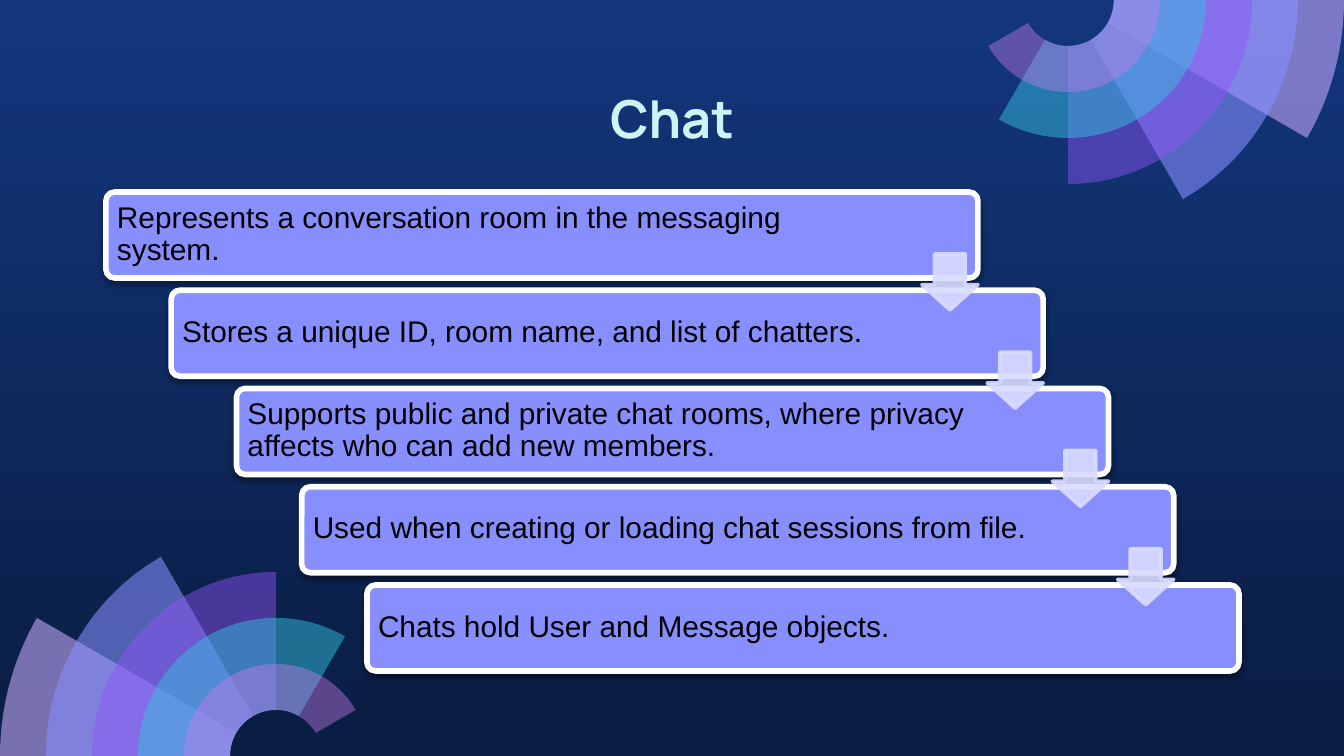
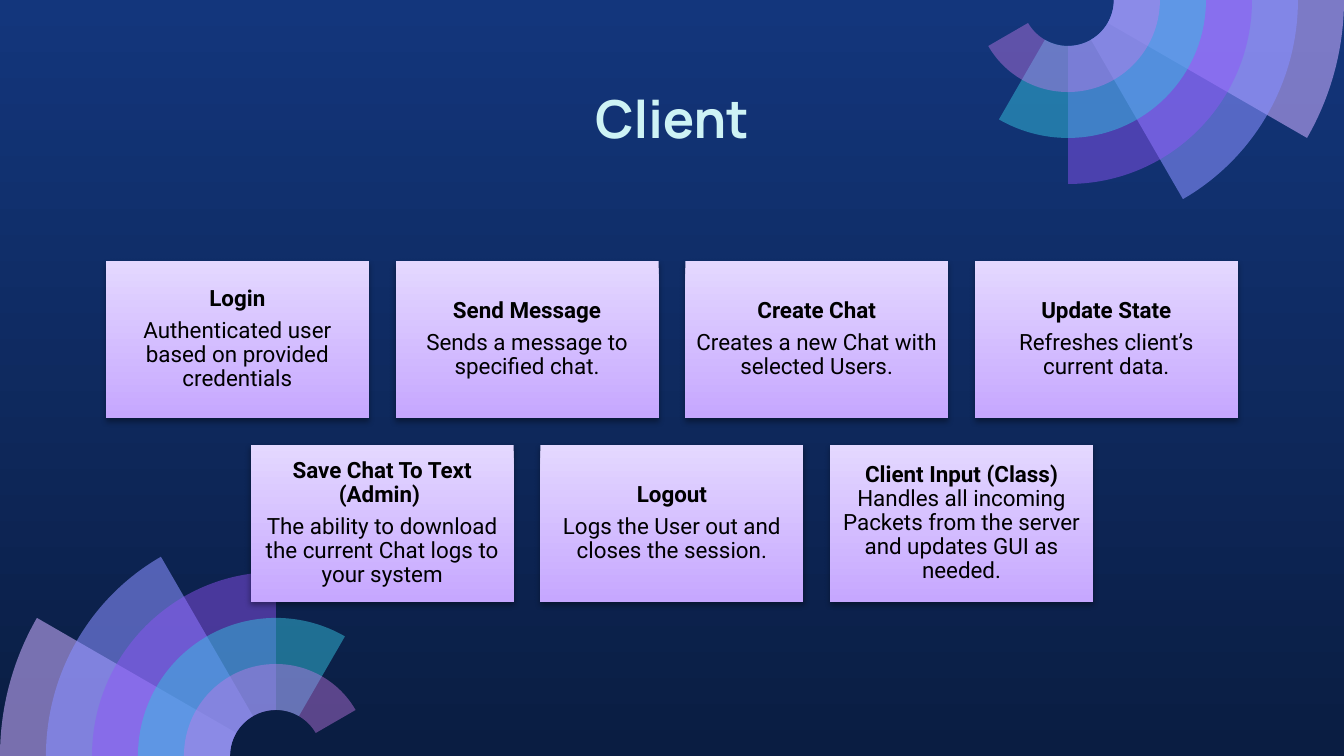
import dataclasses
import math

import lxml.etree
import pptx
import pptx.dml.color
import pptx.enum.shapes
import pptx.enum.text
import pptx.oxml.ns
import pptx.util

CHAT = [
    "Represents a conversation room in the messaging system.",
    "Stores a unique ID, room name, and list of chatters.",
    "Supports public and private chat rooms, where privacy affects who can add new members.",
    "Used when creating or loading chat sessions from file.",
    "Chats hold User and Message objects.",
]
CLIENT = [
    [
        [["Login"], ["Authenticated user based on provided credentials"]],
        [["Send Message"], ["Sends a message to specified chat."]],
        [["Create Chat"], ["Creates a new Chat with selected Users."]],
        [["Update State"], ["Refreshes client’s current data."]],
    ],
    [
        [["Save Chat To Text (Admin) "],
         ["The ability to download the current Chat logs to your system"]],
        [["Logout"], ["Logs the User out and closes the session."]],
        [["Client Input (Class) ",
          "Handles all incoming Packets from the server and updates GUI as needed."]],
    ],
]


@dataclasses.dataclass(frozen=True)
class Theme:
    sky: tuple = ("13367C", "0A1D42")
    card: tuple = ("E4D8FF", "C6A7FF")
    fan: tuple = (("C8ACFD", 58), ("878FFF", 58), ("9154F8", 46),
                  ("35C2DF", 49), ("CA7BEB", 42))
    title: str = "CEF3F5"
    ink: str = "000000"
    bar: str = "878FFF"
    edge: str = "FFFFFF"
    arrow: str = "D9DBFF"
    head: int = 28
    body: int = 16
    note: int = 12


T = Theme()
WIDE, HIGH = 1344, 756
SCALE = 9144000 / WIDE
KIND = pptx.enum.shapes.MSO_SHAPE
ALIGN = pptx.enum.text.PP_ALIGN
qn = pptx.oxml.ns.qn


def emu(px):
    return pptx.util.Emu(round(px * SCALE))


def rgb(code):
    return pptx.dml.color.RGBColor.from_string(code)


def shade(fill, pair):
    fill.gradient()
    fill.gradient_angle = 270
    for stop, code in zip(fill.gradient_stops, pair):
        stop.color.rgb = rgb(code)


def fade(shape, alpha):
    for node in shape._element.spPr.iter(qn("a:srgbClr")):
        lxml.etree.SubElement(node, qn("a:alpha"), val=str(alpha * 1000))


def paint(shape, fill, line=None, width=0):
    shape.shadow.inherit = False
    if isinstance(fill, tuple):
        shade(shape.fill, fill)
    else:
        shape.fill.solid()
        shape.fill.fore_color.rgb = rgb(fill)
    if line:
        shape.line.color.rgb = rgb(line)
        shape.line.width = pptx.util.Pt(width)
    else:
        shape.line.fill.background()


def drop(shape, alpha, dist):
    node = shape._element.spPr.find(qn("a:effectLst"))
    cast = lxml.etree.SubElement(
        node, qn("a:outerShdw"), blurRad=str(pptx.util.Pt(3.1)),
        dist=str(pptx.util.Pt(dist)), dir="5400000", algn="ctr", rotWithShape="0")
    tone = lxml.etree.SubElement(cast, qn("a:srgbClr"), val=T.ink)
    lxml.etree.SubElement(tone, qn("a:alpha"), val=str(alpha * 1000))


def block(group, kind, rect, adj=()):
    shape = group.shapes.add_shape(kind, *map(emu, rect))
    for i, val in enumerate(adj):
        shape.adjustments[i] = val
    return shape


def write(holder, rect, paras, font, size, color=T.ink, bold=False, lead=False,
          align=ALIGN.CENTER, pad=7, after=0):
    frame = holder.shapes.add_textbox(*map(emu, rect)).text_frame
    frame.word_wrap = True
    frame.vertical_anchor = pptx.enum.text.MSO_ANCHOR.MIDDLE
    frame.margin_left = frame.margin_right = emu(pad)
    frame.margin_top = frame.margin_bottom = emu(pad)
    first = True
    for i, runs in enumerate(paras):
        para = frame.paragraphs[0] if i == 0 else frame.add_paragraph()
        para.alignment = align
        para.line_spacing = 0.9
        para.space_after = pptx.util.Pt(after)
        for text in runs:
            run = para.add_run()
            run.text = text
            run.font.name = font
            run.font.size = pptx.util.Pt(size)
            run.font.color.rgb = rgb(color)
            run.font.bold = bold or (lead and first)
            first = False


def bend(shape, curves):
    nodes = list(shape._element.spPr.iter(qn("a:lnTo")))
    for i in curves:
        curve = lxml.etree.Element(qn("a:cubicBezTo"))
        nodes[i].addprevious(curve)
        for node in nodes[i:i + 3]:
            curve.append(node[0])
            node.getparent().remove(node)


def fan(slide, cx, cy, turn):
    ring = 46
    group = slide.shapes.add_group_shape()

    def spot(radius, angle, pull=0):
        rad = math.radians(angle + turn)
        x = math.cos(rad) - pull * math.sin(rad)
        y = math.sin(rad) + pull * math.cos(rad)
        return emu(cx + radius * x), emu(cy - radius * y)

    def arc(radius, angles):
        pts = []
        for a, b in zip(angles, angles[1:]):
            pull = 4 / 3 * math.tan(math.radians(b - a) / 4)
            pts += [spot(radius, a, pull), spot(radius, b, -pull), spot(radius, b)]
        return pts

    for i, (code, alpha) in enumerate(T.fan):
        end = 150 - 30 * i
        angles = [180, 90, end] if end < 90 else [180, end]
        outer = arc(ring * (6 - i), angles)
        inner = arc(ring, angles[::-1])
        pen = group.shapes.build_freeform(*spot(ring * (6 - i), 180), scale=1.0)
        pen.add_line_segments(outer + [spot(ring, end)] + inner, close=True)
        shape = pen.convert_to_shape()
        size = len(outer)
        bend(shape, [*range(0, size, 3), *range(size + 1, 2 * size + 1, 3)])
        paint(shape, code)
        fade(shape, alpha)


def start(deck, title):
    slide = deck.slides.add_slide(deck.slide_layouts[6])
    fan(slide, 276, HIGH, 0)
    fan(slide, WIDE - 276, 0, 180)
    write(slide, (106, 79, 1132, 85), [[title]], "Manrope", T.head,
          color=T.title, bold=True, pad=13)
    return slide


def stairs(slide):
    left, top, wide, high, side = 106, 192, 872, 86, 56
    last = len(CHAT) - 1
    right, down = (367 - left) / last, (585 - top) / last
    spots = [(left + right * i, top + down * i) for i in range(len(CHAT))]
    group = slide.shapes.add_group_shape()
    for i, ((x, y), text) in enumerate(zip(spots, CHAT)):
        bar = block(group, KIND.ROUNDED_RECTANGLE, (x, y, wide, high), [0.1])
        paint(bar, T.bar, T.edge, 3)
        drop(bar, 38, 1.6)
        write(group, (x + 2, y + 2, 746 if i else 769, 81), [[text]], "Arial",
              T.body, align=ALIGN.LEFT, pad=9)
    for x, y in spots[:-1]:
        rect = x + wide - side, y + 62, side, side
        arrow = block(group, KIND.DOWN_ARROW, rect, [0.55, 0.45])
        paint(arrow, T.arrow, T.arrow, 2)
        fade(arrow, 90)


def cards(slide):
    top, wide, high, span = 261, 263, 157, 1132
    gap = (span - 4 * wide) / 3
    group = slide.shapes.add_group_shape()
    for i, row in enumerate(CLIENT):
        left = (WIDE - len(row) * (wide + gap) + gap) / 2
        for j, paras in enumerate(row):
            rect = left + j * (wide + gap), top + i * (high + gap), wide, high
            card = block(group, KIND.RECTANGLE, rect)
            paint(card, T.card)
            drop(card, 35, 1.8)
            write(group, rect, paras, "Roboto", T.note, lead=True, after=4.2)


def main():
    deck = pptx.Presentation()
    deck.slide_width, deck.slide_height = emu(WIDE), emu(HIGH)
    shade(deck.slide_master.background.fill, T.sky)
    stairs(start(deck, "Chat"))
    cards(start(deck, "Client"))
    deck.save("out.pptx")


if __name__ == "__main__":
    main()
